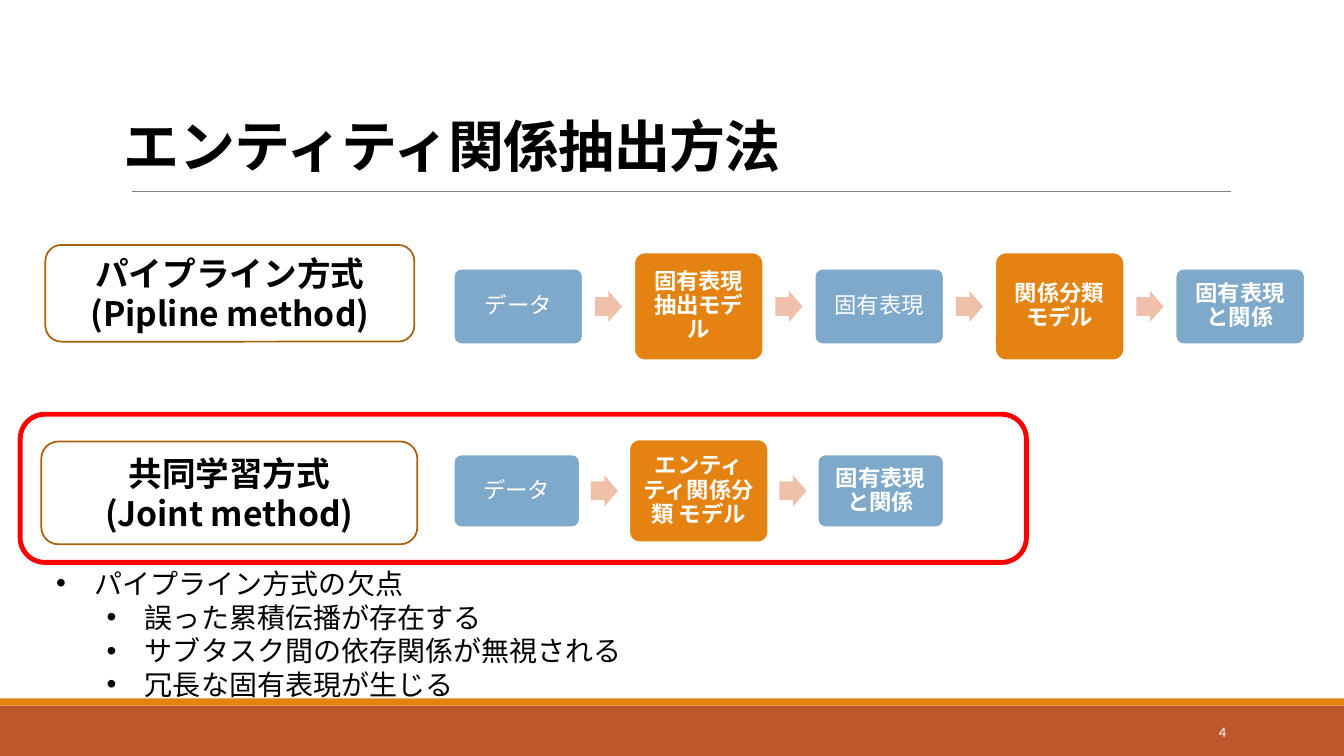
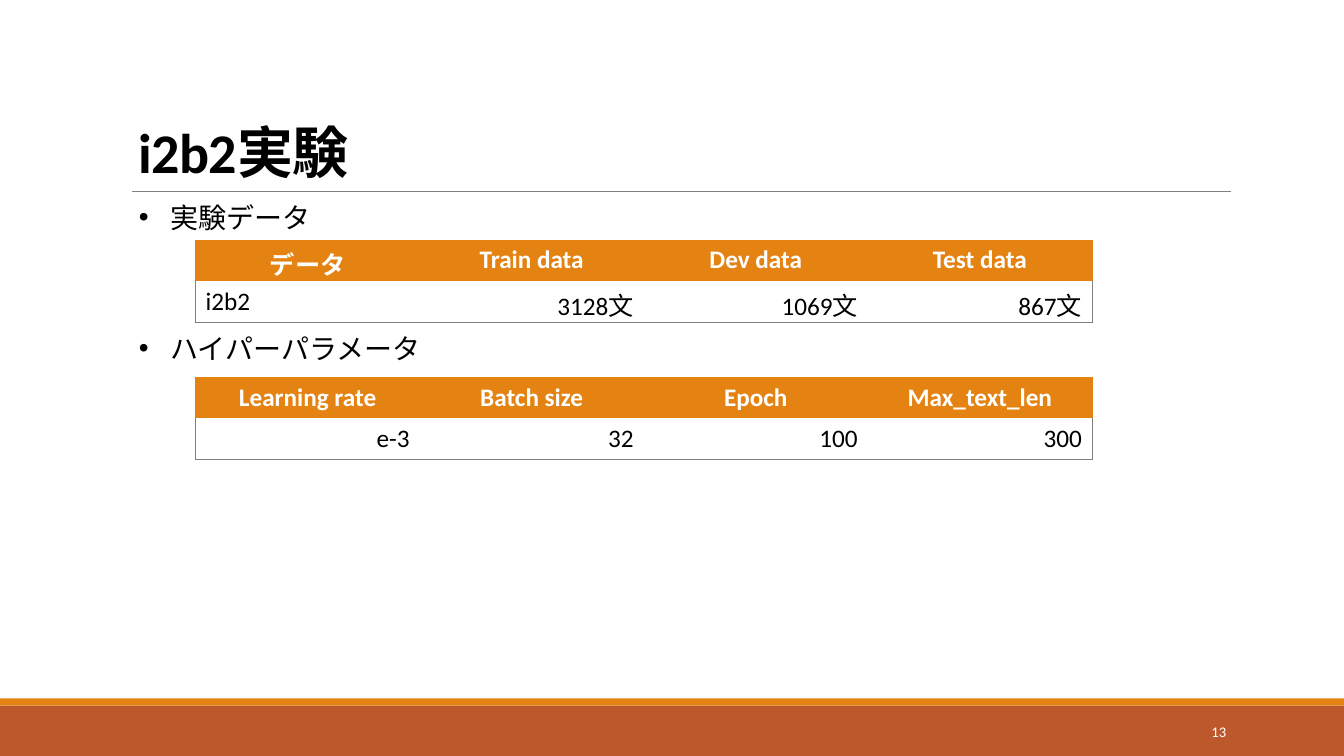
from lxml import etree
from pptx import Presentation
from pptx.dml.color import RGBColor
from pptx.enum.shapes import MSO_CONNECTOR, MSO_SHAPE
from pptx.enum.text import MSO_ANCHOR, PP_ALIGN
from pptx.oxml.ns import qn
from pptx.util import Inches, Pt

LEFT, CENTER, RIGHT = PP_ALIGN.LEFT, PP_ALIGN.CENTER, PP_ALIGN.RIGHT
TOP, MIDDLE, BOTTOM = MSO_ANCHOR.TOP, MSO_ANCHOR.MIDDLE, MSO_ANCHOR.BOTTOM
RECTANGLE, ROUNDED = MSO_SHAPE.RECTANGLE, MSO_SHAPE.ROUNDED_RECTANGLE
ARROW, STRAIGHT = MSO_SHAPE.RIGHT_ARROW, MSO_CONNECTOR.STRAIGHT

BLACK = RGBColor(0x00, 0x00, 0x00)
WHITE = RGBColor(0xFF, 0xFF, 0xFF)
GRAY = RGBColor(0x80, 0x80, 0x80)
ORANGE = RGBColor(0xE4, 0x83, 0x12)
RUST = RGBColor(0xBD, 0x58, 0x2C)
BROWN = RGBColor(0xA9, 0x61, 0x0D)
BLUE = RGBColor(0x7E, 0xA9, 0xCA)
PEACH = RGBColor(0xEF, 0xC1, 0xAB)
RED = RGBColor(0xFF, 0x00, 0x00)

LATIN_FONT, JAPANESE_FONT = "Calibri", "Noto Sans CJK JP"
NO_TABLE_STYLE = "{2D5ABB26-0587-4C30-8999-92F81FD0307C}"

# Content: method labels with their box
LABELS = [
    ("パイプライン方式\n(Pipline method)", (0.45, 2.43, 3.66, 0.96)),
    ("共同学習方式\n(Joint method)", (0.41, 4.38, 3.73, 1.02)),
]
# Flow steps: text, is a model, bold
FLOWS = [
    {"middle": 3.04, "gap": 0.51, "data_size": (1.28, 0.75),
     "model_size": (1.28, 1.07),
     "steps": [("データ", False, False),
               ("固有表現抽出モデル", True, True),
               ("固有表現", False, False),
               ("関係分類 モデル", True, True),
               ("固有表現と関係", False, True)]},
    {"middle": 4.87, "gap": 0.49, "data_size": (1.25, 0.72),
     "model_size": (1.38, 1.02),
     "steps": [("データ", False, False),
               ("エンティティ関係分類 モデル", True, True),
               ("固有表現と関係", False, True)]},
]
FLOW_LEFT = 4.5
ARROW_SIZE = (0.27, 0.31)
FRAME_BOX = (0.2, 4.11, 9.98, 1.47)

# Bullets: text, level
DRAWBACKS = [
    ("パイプライン方式の欠点", 0),
    ("誤った累積伝播が存在する", 1),
    ("サブタスク間の依存関係が無視される", 1),
    ("冗長な固有表現が生じる", 1),
]
# Experiment parts: heading, its top, table top, rows, alignment of the first value
EXPERIMENT = [
    ("実験データ", 1.94, 2.38,
     [["データ", "Train data", "Dev data", "Test data"],
      ["i2b2", "3128文", "1069文", "867文"]], LEFT),
    ("ハイパーパラメータ", 3.24, 3.74,
     [["Learning rate", "Batch size", "Epoch", "Max_text_len"],
      ["e-3", "32", "100", "300"]], RIGHT),
]


def box(values):
    return [Inches(value) for value in values]


def write(text_frame, text, size, color, bold=False, font=LATIN_FONT,
          align=LEFT, anchor=TOP, line_spacing=None, tracking=None):
    text_frame.text = text
    text_frame.word_wrap = True
    text_frame.vertical_anchor = anchor
    for paragraph in text_frame.paragraphs:
        paragraph.alignment = align
        if line_spacing:
            paragraph.line_spacing = line_spacing
        for run in paragraph.runs:
            run.font.size = Pt(size)
            run.font.bold = bold
            run.font.color.rgb = color
            run.font.name = font
            properties = run.font._element
            east_asian = etree.SubElement(properties, qn("a:ea"))
            east_asian.set("typeface", JAPANESE_FONT)
            if tracking:
                properties.set("spc", str(tracking))


def add_text(slide, position, text, size, color, **style):
    text_box = slide.shapes.add_textbox(*box(position))
    write(text_box.text_frame, text, size, color, **style)
    return text_box


def add_shape(slide, kind, position, fill=None, line=None, width=1.25):
    shape = slide.shapes.add_shape(kind, *box(position))
    shape.shadow.inherit = False
    if fill is None:
        shape.fill.background()
    else:
        shape.fill.solid()
        shape.fill.fore_color.rgb = fill
    if line is None:
        shape.line.fill.background()
    else:
        shape.line.color.rgb = line
        shape.line.width = Pt(width)
    return shape


def add_bullets(slide, position, items, hanging, font=LATIN_FONT):
    text = "\n".join(item for item, _ in items)
    text_box = add_text(slide, position, text, 20, BLACK, font=font)
    for paragraph, (_, level) in zip(text_box.text_frame.paragraphs, items):
        paragraph.level = level
        properties = paragraph._p.get_or_add_pPr()
        properties.set("marL", str(Inches(hanging + 0.5 * level)))
        properties.set("indent", str(Inches(-hanging)))
        etree.SubElement(properties, qn("a:buFont")).set("typeface", "Arial")
        etree.SubElement(properties, qn("a:buChar")).set("char", "•")


def add_flow(slide, flow):
    left, middle, gap = FLOW_LEFT, flow["middle"], flow["gap"]
    arrow_width, arrow_height = ARROW_SIZE
    for index, (text, is_model, bold) in enumerate(flow["steps"]):
        if index:
            arrow = add_shape(slide, ARROW,
                              (left - (gap + arrow_width) / 2,
                               middle - arrow_height / 2, *ARROW_SIZE), PEACH)
            arrow.adjustments[0] = 0.6
        width, height = flow["model_size" if is_model else "data_size"]
        step = add_shape(slide, ROUNDED, (left, middle - height / 2, width, height),
                         ORANGE if is_model else BLUE, WHITE)
        step.adjustments[0] = 0.1
        frame = step.text_frame
        frame.margin_left = frame.margin_right = Inches(0.1 if is_model else 0.08)
        write(frame, text, 16, WHITE, bold, JAPANESE_FONT if bold else LATIN_FONT,
              CENTER, MIDDLE, 0.9)
        left += width + gap


def set_border(cell, side, color):
    line = etree.SubElement(cell._tc.get_or_add_tcPr(), qn("a:" + side))
    line.set("w", str(Pt(0.5)))
    fill = etree.SubElement(line, qn("a:solidFill"))
    etree.SubElement(fill, qn("a:srgbClr")).set("val", str(color))


def add_table(slide, top, rows, first_align):
    columns = len(rows[0])
    frame = slide.shapes.add_table(len(rows), columns,
                                   *box((1.94, top, 8.89, 0.82)))
    table = frame.table
    table.horz_banding = False
    table._tbl.tblPr.find(qn("a:tableStyleId")).text = NO_TABLE_STYLE
    for row, values in enumerate(rows):
        table.rows[row].height = Inches(0.41)
        header = row == 0
        for column, value in enumerate(values):
            cell = table.cell(row, column)
            align = CENTER if header else RIGHT if column else first_align
            write(cell.text_frame, value, 18, WHITE if header else BLACK,
                  header, align=align)
            # Outer borders come before the fill
            edges = [("lnL", column == 0), ("lnR", column == columns - 1),
                     ("lnB", not header)]
            for side, is_outer in edges:
                if is_outer:
                    set_border(cell, side, ORANGE if header else GRAY)
            if header:
                cell.fill.solid()
                cell.fill.fore_color.rgb = ORANGE
            else:
                cell.fill.background()


def new_slide(presentation, title, title_box, number):
    slide = presentation.slides.add_slide(presentation.slide_layouts[6])
    # Footer bands
    add_shape(slide, RECTANGLE, (0, 7, 13.33, 0.5), RUST)
    add_shape(slide, RECTANGLE, (0, 6.93, 13.33, 0.07), ORANGE)
    # Rule under the title
    rule = slide.shapes.add_connector(STRAIGHT, *box((1.31, 1.9, 12.21, 1.9)))
    rule.line.color.rgb = GRAY
    rule.line.width = Pt(0.5)
    etree.SubElement(rule._element.spPr, qn("a:effectLst"))
    # Title and page number
    add_text(slide, title_box, title, 40, BLACK, bold=True, anchor=BOTTOM,
             line_spacing=0.85, tracking=-50)
    add_text(slide, (10.83, 7.06, 1.43, 0.4), number, 10.5, WHITE,
             align=RIGHT, anchor=MIDDLE)
    return slide


def build_methods(presentation):
    slide = new_slide(presentation, "エンティティ関係抽出方法",
                      (1.13, 0.72, 10.85, 1.1), "4")
    for text, position in LABELS:
        label = add_shape(slide, ROUNDED, position, line=BROWN)
        write(label.text_frame, text, 24, BLACK, True, JAPANESE_FONT, CENTER, MIDDLE)
    add_bullets(slide, (0.46, 5.57, 12.2, 1.45), DRAWBACKS, 0.38, JAPANESE_FONT)
    add_shape(slide, ROUNDED, FRAME_BOX, line=RED, width=3.5)
    for flow in FLOWS:
        add_flow(slide, flow)


def build_experiment(presentation):
    slide = new_slide(presentation, "i2b2実験", (1.28, 1.05, 11, 0.83), "13")
    for heading, heading_top, table_top, rows, first_align in EXPERIMENT:
        add_bullets(slide, (1.28, heading_top, 10.61, 0.44), [(heading, 0)], 0.31)
        add_table(slide, table_top, rows, first_align)


def main():
    presentation = Presentation()
    presentation.slide_width, presentation.slide_height = box((13.33, 7.5))
    build_methods(presentation)
    build_experiment(presentation)
    presentation.save("out.pptx")


if __name__ == "__main__":
    main()
